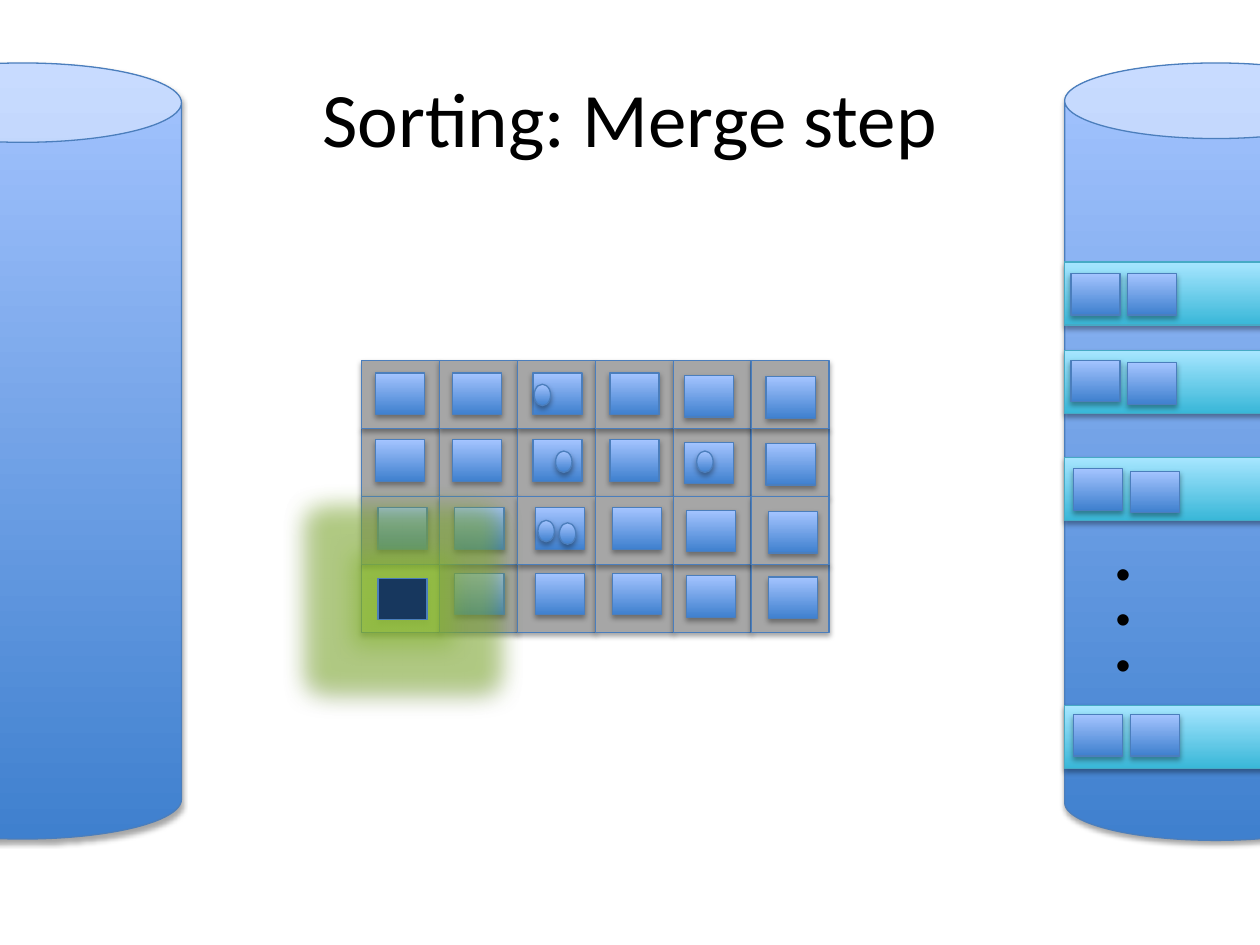
from pptx import Presentation
from pptx.dml.color import RGBColor
from pptx.enum.shapes import MSO_SHAPE
from pptx.enum.text import MSO_ANCHOR, PP_ALIGN
from pptx.oxml import parse_xml
from pptx.oxml.ns import nsdecls
from pptx.util import Inches, Pt

BLUE = ("3F80CE", "A4C4FF")
CYAN = ("39B7D8", "A7E6FF")
EDGE = "4B7EBC"
BLOCK = (0.39, 0.33)


def color(code):
    return RGBColor.from_string(code)


def effects(shape, glow):
    halo = ""
    if glow:
        halo = (f'<a:glow rad="{Inches(0.39)}"><a:srgbClr val="{glow}">'
                '<a:alpha val="50000"/></a:srgbClr></a:glow>')
    shape._element.spPr.append(parse_xml(
        f'<a:effectLst {nsdecls("a")}>{halo}'
        f'<a:outerShdw blurRad="{Pt(3.1)}" dist="{Pt(1.8)}" dir="5400000" rotWithShape="0">'
        '<a:srgbClr val="000000"><a:alpha val="35000"/></a:srgbClr>'
        '</a:outerShdw></a:effectLst>'))


def draw(shapes, kind, box, paint=BLUE, edge=EDGE, glow=None):
    shape = shapes.add_shape(kind, *map(Inches, box))
    if isinstance(paint, tuple):
        shape.fill.gradient()
        shape.fill.gradient_angle = 90
        for stop, code in zip(shape.fill.gradient_stops, paint):
            stop.color.rgb = color(code)
    else:
        shape.fill.solid()
        shape.fill.fore_color.rgb = color(paint)
    shape.line.color.rgb = color(edge)
    shape.line.width = Pt(0.75)
    effects(shape, glow)
    return shape


def write(shapes, box, text, size, align):
    label = shapes.add_textbox(*map(Inches, box))
    frame = label.text_frame
    frame.word_wrap = True
    para = frame.paragraphs[0]
    para.alignment = align
    run = para.add_run()
    run.text = text
    run.font.name = "Calibri"
    run.font.size = Pt(size)
    run.font.color.rgb = color("000000")
    return label


def title(shapes, box):
    label = write(shapes, box, "Sorting: Merge step", 44, PP_ALIGN.CENTER)
    label.text_frame.vertical_anchor = MSO_ANCHOR.MIDDLE


def disk(shapes, box):
    draw(shapes, MSO_SHAPE.CAN, box)


def runs(shapes, box):
    left, top, width, _ = box
    disk(shapes, box)
    rows = [(1.58, 0.05, 0.09, 0.09), (2.28, 0.05, 0.08, 0.1),
            (3.13, 0.07, 0.09, 0.11), (5.1, 0.07, 0.07, 0.07)]
    for drop, inset, first, second in rows:
        strip = top + drop
        draw(shapes, MSO_SHAPE.RECTANGLE, (left, strip, width, 0.5), CYAN, "46AAC5")
        for step, lift in enumerate((first, second)):
            spot = (left + inset + 0.45 * step, strip + lift)
            draw(shapes, MSO_SHAPE.RECTANGLE, spot + BLOCK)
    dots = write(shapes, (left - 0.08, top + 4.17, 1.6, 1.01), ". . .", 54, PP_ALIGN.LEFT)
    dots.rotation = 90


def memory(shapes, box):
    left, top, width, height = box
    wide, high = width / 6, height / 4
    for half in (0, 2):
        group = shapes.add_group_shape().shapes
        for col in range(6):
            for row in (half + 1, half):
                paint = "DCF2A8" if (row, col) == (3, 0) else "A6A6A6"
                cell = (left + col * wide, top + row * high, wide, high)
                draw(group, MSO_SHAPE.RECTANGLE, cell, paint)
    cols = [(0.11, 0), (0.72, 0), (1.36, 0), (1.97, 0), (2.56, 0.02), (3.21, 0.03)]
    for row, drop in enumerate((0.1, 0.63, 1.17, 1.69)):
        shift = 0.02 if row > 1 else 0
        for col, (inset, extra) in enumerate(cols):
            if (row, col) != (3, 0):
                spot = (left + inset + shift, top + drop + extra)
                draw(shapes, MSO_SHAPE.RECTANGLE, spot + BLOCK)
    for inset, drop in [(1.37, 0.19), (1.54, 0.72), (1.4, 1.27), (2.66, 0.72), (1.57, 1.29)]:
        draw(shapes, MSO_SHAPE.OVAL, (left + inset, top + drop, 0.13, 0.17))
    draw(shapes, MSO_SHAPE.RECTANGLE, (left + 0.13, top + 1.73) + BLOCK,
         "17375E", glow="8DBF32")


deck = Presentation()
deck.slide_width, deck.slide_height = Inches(10), Inches(7.5)
shapes = deck.slides.add_slide(deck.slide_layouts[6]).shapes
title(shapes, (0.5, 0.3, 9, 1.25))
runs(shapes, (8.45, 0.5, 2.4, 6.17))
disk(shapes, (-1.08, 0.5, 2.52, 6.16))
memory(shapes, (2.87, 2.86, 3.71, 2.16))
deck.save("out.pptx")
